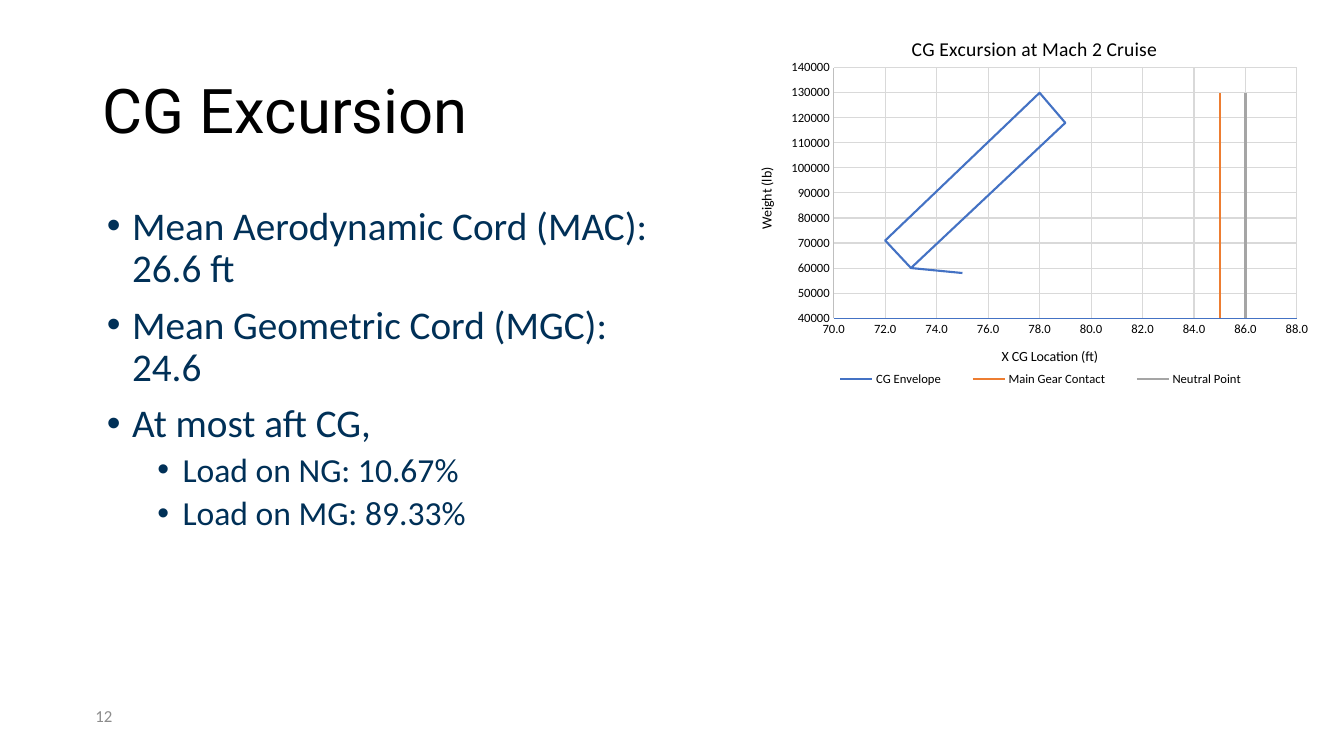
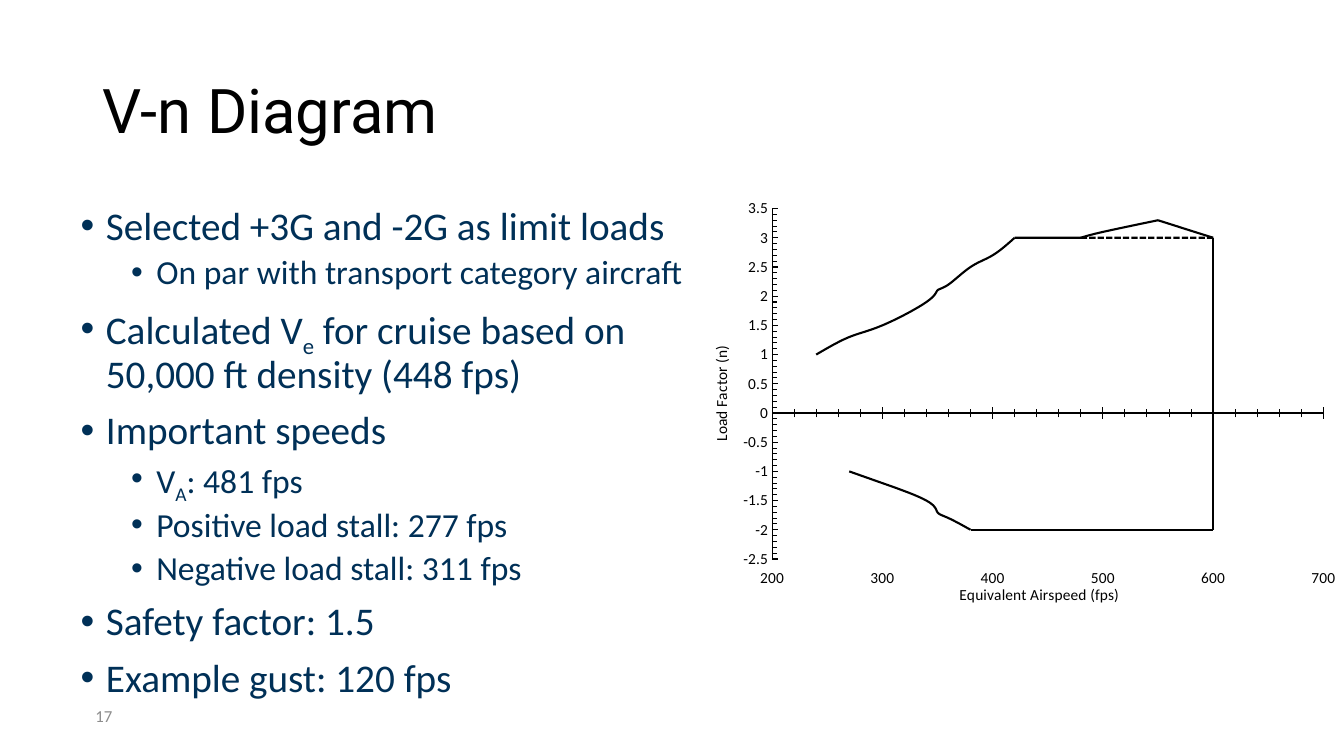
from lxml import etree
from pptx import Presentation
from pptx.chart.data import XyChartData
from pptx.dml.color import RGBColor
from pptx.enum.chart import XL_CHART_TYPE, XL_LEGEND_POSITION, XL_TICK_LABEL_POSITION, XL_TICK_MARK
from pptx.enum.dml import MSO_LINE
from pptx.enum.text import MSO_ANCHOR, PP_ALIGN
from pptx.oxml.ns import qn
from pptx.util import Pt

COLORS = {"black": "000000", "navy": "003057", "gray": "8C8C8C", "grid": "D9D9D9", "axis": "BFBFBF",
          "blue": "4472C4", "orange": "ED7D31", "silver": "A5A5A5"}
COLORS = {name: RGBColor.from_string(value) for name, value in COLORS.items()}

# Body text: (level, runs); every second run is a subscript
cg_body = [
    (0, ["Mean Aerodynamic Cord (MAC): 26.6 ft"]),
    (0, ["Mean Geometric Cord (MGC): 24.6"]),
    (0, ["At most aft CG,"]),
    (1, ["Load on NG: 10.67%"]),
    (1, ["Load on MG: 89.33%"]),
]
vn_body = [
    (0, ["Selected +3G and -2G as limit loads"]),
    (1, ["On par with transport category aircraft"]),
    (0, ["Calculated V", "e", " for cruise based on 50,000 ft density (448 fps)"]),
    (0, ["Important speeds"]),
    (1, ["V", "A", ": 481 fps"]),
    (1, ["Positive load stall: 277 fps"]),
    (1, ["Negative load stall: 311 fps"]),
    (0, ["Safety factor: 1.5"]),
    (0, ["Example gust: 120 fps"]),
]

# Chart series: (name, colour, line width, dash, points); width 0 draws no line
cg_series = [
    ("CG Envelope", "blue", 1.5, None,
     [(75, 58000), (73, 60000), (72, 71000), (78, 130000), (79, 118000), (73, 60000)]),
    ("Main Gear Contact", "orange", 1.5, None, [(85, 0), (85, 130000)]),
    ("Neutral Point", "silver", 1.5, None, [(86, 0), (86, 130000)]),
]
vn_series = [
    ("Series 1", "black", 0, None, [(241, 1), (241, 0)]),
    ("Series 2", "black", 0, None, [(270, 0), (270, -1)]),
    ("Series 3", "black", 0, None, [(241, 0), (270, 0)]),
    ("Series 4", "black", 1.5, None,
     [(240, 1), (270, 1.3), (300, 1.5), (340, 1.9), (350, 2.1), (360, 2.2), (380, 2.5), (400, 2.7), (420, 3)]),
    ("Series 5", "black", 1.5, None,
     [(270, -1), (300, -1.2), (340, -1.5), (350, -1.7), (360, -1.8), (380, -2)]),
    ("Series 6", "black", 1.75, None, [(380, -2), (600, -2)]),
    ("Series 7", "black", 1.75, None, [(600, 3), (600, -2)]),
    ("Series 8", "black", 1.5, None, [(480, 3), (500, 3.1), (550, 3.3)]),
    ("Series 9", "black", 1.5, None, [(550, 3.3), (600, 3)]),
    ("Series 10", "black", 1.5, None, [(420, 3), (480, 3)]),
    ("Series 11", "black", 1.5, MSO_LINE.SQUARE_DOT, [(480, 3), (600, 3)]),
]

# Axes: (title, number format, minimum, maximum, major unit, minor unit, tick mark, line colour)
slides = [
    dict(title="CG Excursion", number="12", body=cg_body, body_box=(69.3, 144, 410, 343),
         chart_box=(519, 13, 440, 288), kind=XL_CHART_TYPE.XY_SCATTER_LINES_NO_MARKERS, series=cg_series,
         chart_title="CG Excursion at Mach 2 Cruise", grid=True, smooth=False, title_size=10, label_size=9,
         plot=(0.174, 0.123, 0.752, 0.621), legend=(0.14, 0.86, 0.74, 0.07),
         labels=XL_TICK_LABEL_POSITION.NEXT_TO_AXIS,
         x=("X CG Location (ft)", "0.0", 70, 88, 2, None, XL_TICK_MARK.NONE, "blue"),
         y=("Weight (lb)", "0", 40000, 140000, 10000, None, XL_TICK_MARK.NONE, "axis")),
    dict(title="V-n Diagram", number="17", body=vn_body, body_box=(50.6, 144, 451.4, 367),
         chart_box=(505.6, 133, 454.3, 302.4), kind=XL_CHART_TYPE.XY_SCATTER_SMOOTH_NO_MARKERS, series=vn_series,
         chart_title=None, grid=False, smooth=True, title_size=11, label_size=11,
         plot=(0.101, 0.053, 0.867, 0.828), legend=None,
         labels=XL_TICK_LABEL_POSITION.LOW,
         x=("Equivalent Airspeed (fps)", "General", 200, 700, 100, 20, XL_TICK_MARK.CROSS, "black"),
         y=("Load Factor (n)", "General", -2.5, 3.5, 0.5, 0.1, XL_TICK_MARK.INSIDE, "black")),
]


def add_box(s, box, anchor):
    tf = s.shapes.add_textbox(*[Pt(v) for v in box]).text_frame
    tf.word_wrap = True
    tf.vertical_anchor = anchor
    return tf


def set_font(font, size, color, name="Calibri"):
    font.size = Pt(size)
    font.name = name
    font.bold = False
    font.color.rgb = COLORS[color]


prs = Presentation()
prs.slide_width, prs.slide_height = Pt(960), Pt(540)

for d in slides:
    s = prs.slides.add_slide(prs.slide_layouts[6])

    # Title
    p = add_box(s, (66.24, 28.8, 828, 104.4), MSO_ANCHOR.MIDDLE).paragraphs[0]
    p.line_spacing = 0.9
    r = p.add_run()
    r.text = d["title"]
    set_font(r.font, 44, "black", "Roboto")

    # Bulleted body
    tf = add_box(s, d["body_box"], MSO_ANCHOR.TOP)
    for i, (level, runs) in enumerate(d["body"]):
        p = tf.add_paragraph() if i else tf.paragraphs[0]
        p.level = level
        p.line_spacing = 0.9
        p.space_before = Pt(5 if level else 10)
        pPr = p._p.get_or_add_pPr()
        pPr.set("marL", str(Pt(18 + 36 * level)))
        pPr.set("indent", str(Pt(-18)))
        etree.SubElement(pPr, qn("a:buFont")).set("typeface", "Arial")
        etree.SubElement(pPr, qn("a:buChar")).set("char", "•")
        for j, text in enumerate(runs):
            r = p.add_run()
            r.text = text
            set_font(r.font, 24 if level else 28, "navy")
            if j % 2:
                r._r.get_or_add_rPr().set("baseline", "-25000")

    # Chart
    data = XyChartData()
    for name, color, width, dash, points in d["series"]:
        series = data.add_series(name)
        for x, y in points:
            series.add_data_point(x, y)
    chart = s.shapes.add_chart(d["kind"], *[Pt(v) for v in d["chart_box"]], data).chart
    set_font(chart.font, d["title_size"], "black")
    for series, (name, color, width, dash, points) in zip(chart.plots[0].series, d["series"]):
        line = series.format.line
        if width:
            line.color.rgb = COLORS[color]
            line.width = Pt(width)
        else:
            line.fill.background()
        if dash:
            line.dash_style = dash
    for smooth in chart.element.iter(qn("c:smooth")):
        smooth.set("val", str(int(d["smooth"])))

    # Chart title and legend
    chart.has_title = bool(d["chart_title"])
    if d["chart_title"]:
        r = chart.chart_title.text_frame.paragraphs[0].add_run()
        r.text = d["chart_title"]
        set_font(r.font, 14, "black")
    chart.has_legend = bool(d["legend"])
    if d["legend"]:
        chart.legend.position = XL_LEGEND_POSITION.BOTTOM
        chart.legend.include_in_layout = True
        set_font(chart.legend.font, 9, "black")

    # Axes
    for axis, settings in ((chart.category_axis, d["x"]), (chart.value_axis, d["y"])):
        title, fmt, low, high, major, minor, tick, color = settings
        r = axis.axis_title.text_frame.paragraphs[0].add_run()
        r.text = title
        set_font(r.font, d["title_size"], "black")
        axis.minimum_scale, axis.maximum_scale = low, high
        axis.major_unit, axis.minor_unit = major, minor
        axis.major_tick_mark = axis.minor_tick_mark = tick
        axis.tick_labels.number_format = fmt
        axis.tick_labels.number_format_is_linked = False
        set_font(axis.tick_labels.font, d["label_size"], "black")
        axis.format.line.color.rgb = COLORS[color]
        axis.format.line.width = Pt(0.75)
        axis.has_major_gridlines = d["grid"]
        if d["grid"]:
            axis.major_gridlines.format.line.color.rgb = COLORS["grid"]
            axis.major_gridlines.format.line.width = Pt(0.75)
    chart.category_axis.tick_label_position = d["labels"]

    # Plot area and legend as fractions of the chart
    for tag, box, place in (("c:plotArea", d["plot"], 0), ("c:legend", d["legend"], 1)):
        if not box:
            continue
        part = chart.element.find(".//" + qn(tag))
        for old in part.findall(qn("c:layout")):
            part.remove(old)
        layout = etree.Element(qn("c:layout"))
        manual = etree.SubElement(layout, qn("c:manualLayout"))
        if tag == "c:plotArea":
            etree.SubElement(manual, qn("c:layoutTarget")).set("val", "inner")
        for key, value in zip(("xMode", "yMode", "x", "y", "w", "h"), ("edge", "edge", *box)):
            etree.SubElement(manual, qn("c:" + key)).set("val", str(value))
        part.insert(place, layout)

    # Slide number
    p = add_box(s, (16.2, 496.8, 115.92, 28.8), MSO_ANCHOR.MIDDLE).paragraphs[0]
    p.alignment = PP_ALIGN.CENTER
    r = p.add_run()
    r.text = d["number"]
    set_font(r.font, 12, "gray")

prs.save("out.pptx")
